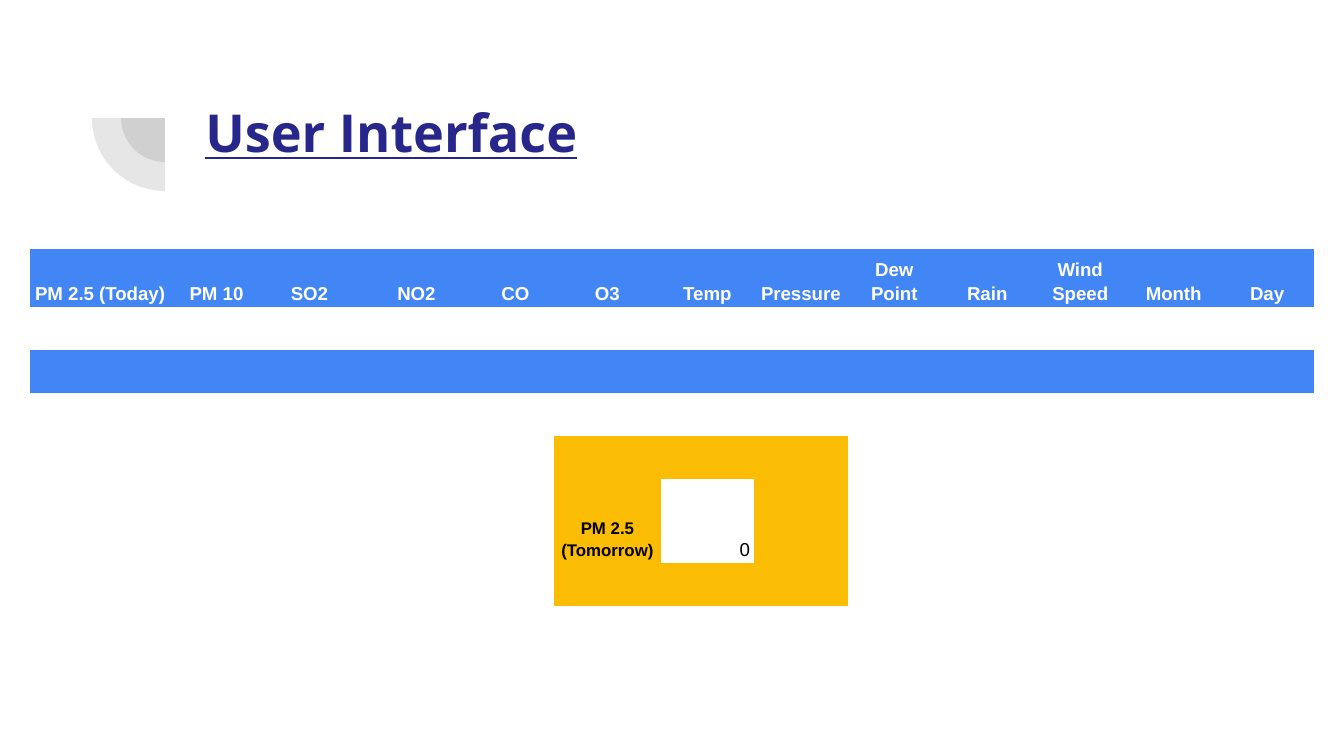
from lxml import etree
from pptx import Presentation
from pptx import util as u
from pptx.dml.color import RGBColor
from pptx.enum import shapes, text
from pptx.oxml.ns import qn

PX = 914400 / 134.4
NAVY = RGBColor(0x27, 0x27, 0x8B)
GREY = RGBColor(0x42, 0x42, 0x42)
BLUE = RGBColor(0x42, 0x85, 0xF4)
GOLD = RGBColor(0xFB, 0xBC, 0x04)
WHITE = RGBColor(0xFF, 0xFF, 0xFF)
BLACK = RGBColor(0, 0, 0)
PLAIN = "{2D5ABB26-0587-4C30-8999-92F81FD0307C}"
HEADS = ["PM 2.5 (Today)", "PM 10", "SO2", "NO2", "CO", "O3", "Temp",
         "Pressure", "Dew Point", "Rain", "Wind Speed", "Month", "Day"]
COLS = [140, 93, 93, 121, 77, 107, 93, 94, 93, 93, 93, 94, 93]
ROWS = [58, 43, 43, 43, 43, 84, 43]


def px(n):
    """Turn picture pixels into EMU."""
    return u.Emu(round(n * PX))


def put_title(slide, words):
    """Place and format the title."""
    title = slide.shapes.title
    title.left, title.top, title.width, title.height = map(px, (192, 87, 1034, 146))
    frame = title.text_frame
    frame.text = words
    frame.auto_size = text.MSO_AUTO_SIZE.NONE
    frame.vertical_anchor = text.MSO_ANCHOR.TOP
    frame.margin_left = frame.margin_right = u.Inches(0.1)
    frame.margin_top = frame.margin_bottom = u.Inches(0.1)
    para = frame.paragraphs[0]
    para.alignment = text.PP_ALIGN.LEFT
    font = para.font
    font.name, font.size, font.bold, font.underline = "Open Sans", u.Pt(28), True, True
    font.color.rgb = NAVY


def add_pie(slide, x, y, r):
    """Draw a translucent quarter disc below and left of its centre."""
    pie = slide.shapes.add_shape(shapes.MSO_SHAPE.PIE, *map(px, (x - r, y - r, 2 * r, 2 * r)))
    pie.adjustments[0], pie.adjustments[1] = 108, 162
    pie.rotation = 270
    pie.shadow.inherit = False
    pie.line.fill.background()
    pie.fill.solid()
    pie.fill.fore_color.rgb = GREY
    tint = pie.fill._xPr.find(".//" + qn("a:srgbClr"))
    etree.SubElement(tint, qn("a:alpha")).set("val", "13000")


def paint(cell, color):
    """Fill a cell, or clear it when there is no colour."""
    if color is None:
        cell.fill.background()
    else:
        cell.fill.solid()
        cell.fill.fore_color.rgb = color


def write(cell, words, color, size=10, bold=True, align=text.PP_ALIGN.CENTER):
    """Set the text of a cell."""
    cell.text = words
    cell.vertical_anchor = text.MSO_ANCHOR.BOTTOM
    para = cell.text_frame.paragraphs[0]
    para.alignment, para.line_spacing = align, 1.15
    font = para.font
    font.name, font.size, font.bold = "Arial", u.Pt(size), bold
    font.color.rgb = color


def shade(row, col):
    """Give the fill colour of a grid position."""
    if row in (0, 2):
        return BLUE
    if (row, col) == (5, 6):
        return WHITE
    return GOLD if row >= 4 and 5 <= col <= 7 else None


def add_form(slide):
    """Build the input and forecast table."""
    frame = slide.shapes.add_table(len(ROWS), len(COLS),
                                   *map(px, (30, 249, sum(COLS), sum(ROWS))))
    grid = frame.table
    grid.first_row = grid.horz_banding = False
    frame._element.find(".//" + qn("a:tableStyleId")).text = PLAIN
    for col, wide in zip(grid.columns, COLS):
        col.width = px(wide)
    for r, high in enumerate(ROWS):
        grid.rows[r].height = px(high)
        for c in range(len(COLS)):
            cell = grid.cell(r, c)
            paint(cell, shade(r, c))
            cell.margin_left = cell.margin_right = u.Inches(0.03)
            cell.margin_top = cell.margin_bottom = u.Inches(0.02)
            cell.text_frame.paragraphs[0].font.size = u.Pt(10)
    for c, head in enumerate(HEADS):
        write(grid.cell(0, c), head, WHITE)
    write(grid.cell(5, 5), "PM 2.5 (Tomorrow)", BLACK, 9)
    write(grid.cell(5, 6), "0", BLACK, bold=False, align=text.PP_ALIGN.RIGHT)


def main():
    """Build and save the slide."""
    deck = Presentation()
    deck.slide_width, deck.slide_height = px(1344), px(756)
    slide = deck.slides.add_slide(deck.slide_layouts[5])
    for r in (44, 73):
        add_pie(slide, 165, 118, r)
    put_title(slide, "User Interface")
    add_form(slide)
    deck.save("out.pptx")


main()
